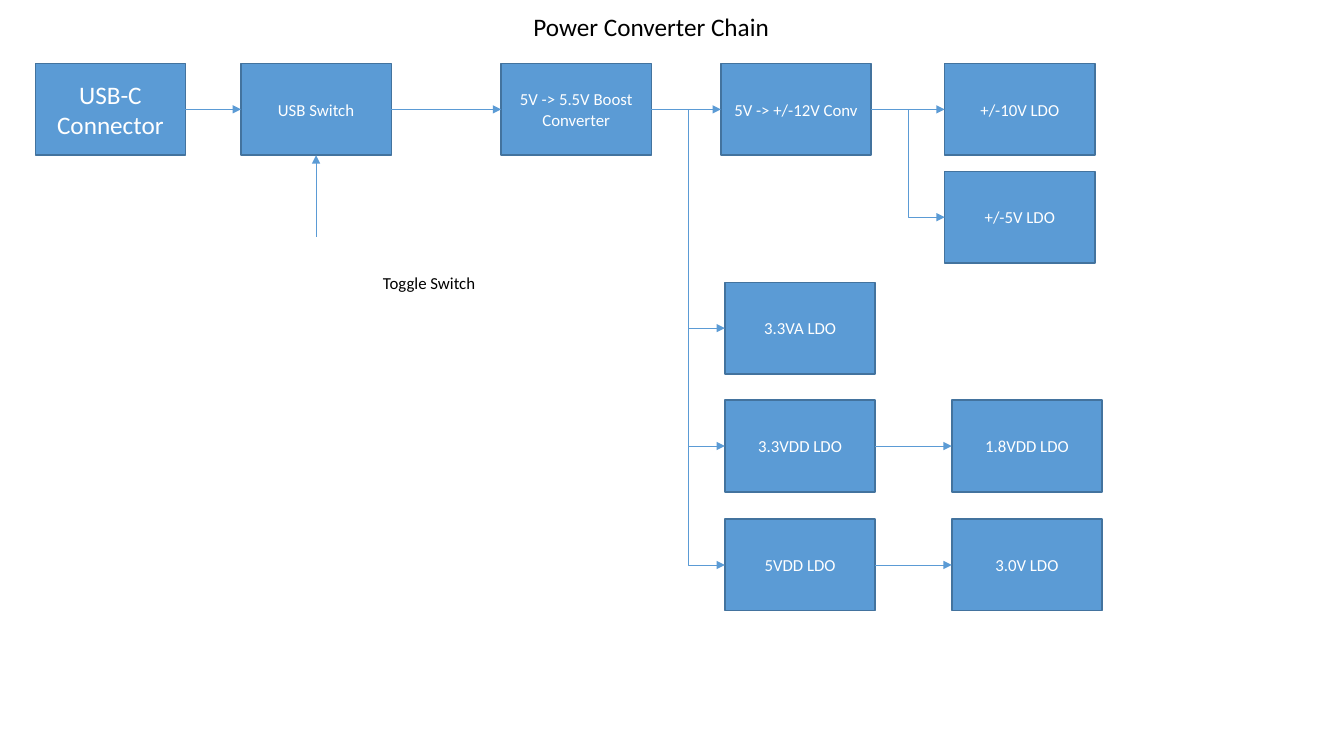
from pptx import Presentation
from pptx import util as u
from pptx.dml.color import RGBColor
from pptx.enum import shapes, text
from pptx.oxml.ns import qn
from lxml import etree

COLORS = {"box": "5B9BD5", "border": "43739E", "wire": "5B9BD5",
          "light": "FFFFFF", "dark": "000000"}
FONT = "Calibri"

# Grid: left edges of the columns and top edges of the rows, in inches
COLUMNS = {"connector": 0.35, "switch": 2.39, "boost": 4.97, "converter": 7.15,
           "rail": 7.19, "analog": 9.37, "digital": 9.44}
ROWS = [0.63, 1.70, 2.80, 3.97, 5.15]
BOX_W, BOX_H = 1.49, 0.91
TOP, LEFT, BOTTOM, RIGHT = range(4)


class ChainSlide:
    def __init__(self, deck):
        self.slide = deck.slides.add_slide(deck.slide_layouts[5])

    def color(self, name):
        return RGBColor.from_string(COLORS[name])

    def set_words(self, shape, words, size, color, align, anchor):
        frame = shape.text_frame
        frame.text = words
        frame.vertical_anchor = anchor
        paragraph = frame.paragraphs[0]
        paragraph.alignment = align
        font = paragraph.runs[0].font
        font.name, font.size = FONT, u.Pt(size)
        font.color.rgb = self.color(color)
        return frame

    def title(self, words, left, top, width, height):
        title = self.slide.shapes.title
        title.left, title.top = u.Inches(left), u.Inches(top)
        title.width, title.height = u.Inches(width), u.Inches(height)
        frame = self.set_words(title, words, 18, "dark",
                               text.PP_ALIGN.LEFT, text.MSO_ANCHOR.TOP)
        frame.auto_size = text.MSO_AUTO_SIZE.NONE

    def label(self, words, left, top, width, height):
        label = self.slide.shapes.add_textbox(
            *map(u.Inches, (left, top, width, height)))
        frame = self.set_words(label, words, 12, "dark",
                               text.PP_ALIGN.LEFT, text.MSO_ANCHOR.TOP)
        frame.word_wrap = False

    def box(self, words, column, row, size=12):
        box = self.slide.shapes.add_shape(
            shapes.MSO_SHAPE.RECTANGLE,
            *map(u.Inches, (COLUMNS[column], ROWS[row], BOX_W, BOX_H)))
        box.shadow.inherit = False
        box.fill.solid()
        box.fill.fore_color.rgb = self.color("box")
        box.line.color.rgb = self.color("border")
        box.line.width = u.Pt(1)
        self.set_words(box, words, size, "light",
                       text.PP_ALIGN.CENTER, text.MSO_ANCHOR.MIDDLE)
        return box

    def arrow(self, kind, target, side, source=None, start=(0, 0)):
        x, y = map(u.Inches, start)
        arrow = self.slide.shapes.add_connector(kind, x, y, x, y)
        if source is not None:
            arrow.begin_connect(source, RIGHT)
        arrow.end_connect(target, side)
        arrow.line.color.rgb = self.color("wire")
        arrow.line.width = u.Pt(0.5)
        properties = arrow.element.spPr
        etree.SubElement(properties.find(qn("a:ln")), qn("a:tailEnd"),
                         type="triangle")
        etree.SubElement(properties, qn("a:effectLst"))


def main():
    deck = Presentation()
    deck.slide_width, deck.slide_height = u.Inches(13.33), u.Inches(7.5)
    chain = ChainSlide(deck)
    chain.title("Power Converter Chain", 5.19, 0.06, 4.81, 0.42)

    # Converter and regulator boxes
    connector = chain.box("USB-C Connector", "connector", 0, 18)
    switch = chain.box("USB Switch", "switch", 0)
    boost = chain.box("5V -> 5.5V Boost Converter", "boost", 0)
    converter = chain.box("5V -> +/-12V Conv", "converter", 0)
    ldo_10v = chain.box("+/-10V LDO", "analog", 0)
    ldo_5v = chain.box("+/-5V LDO", "analog", 1)
    ldo_33va = chain.box("3.3VA LDO", "rail", 2)
    ldo_33vdd = chain.box("3.3VDD LDO", "rail", 3)
    ldo_18vdd = chain.box("1.8VDD LDO", "digital", 3)
    ldo_5vdd = chain.box("5VDD LDO", "rail", 4)
    ldo_30v = chain.box("3.0V LDO", "digital", 4)

    # Straight supply lines
    straight = shapes.MSO_CONNECTOR.STRAIGHT
    for source, target in [(connector, switch), (ldo_33vdd, ldo_18vdd),
                           (ldo_5vdd, ldo_30v)]:
        chain.arrow(straight, target, LEFT, source)

    # Branching supply lines
    branches = [(switch, [boost]),
                (boost, [converter, ldo_33va, ldo_33vdd, ldo_5vdd]),
                (converter, [ldo_10v, ldo_5v])]
    for source, targets in branches:
        for target in targets:
            chain.arrow(shapes.MSO_CONNECTOR.ELBOW, target, LEFT, source)

    # Toggle input below the USB switch
    chain.arrow(straight, switch, BOTTOM,
                start=(COLUMNS["switch"] + BOX_W / 2, 2.35))
    chain.label("Toggle Switch", 3.7, 2.66, 1.13, 0.3)

    deck.save("out.pptx")


if __name__ == "__main__":
    main()
